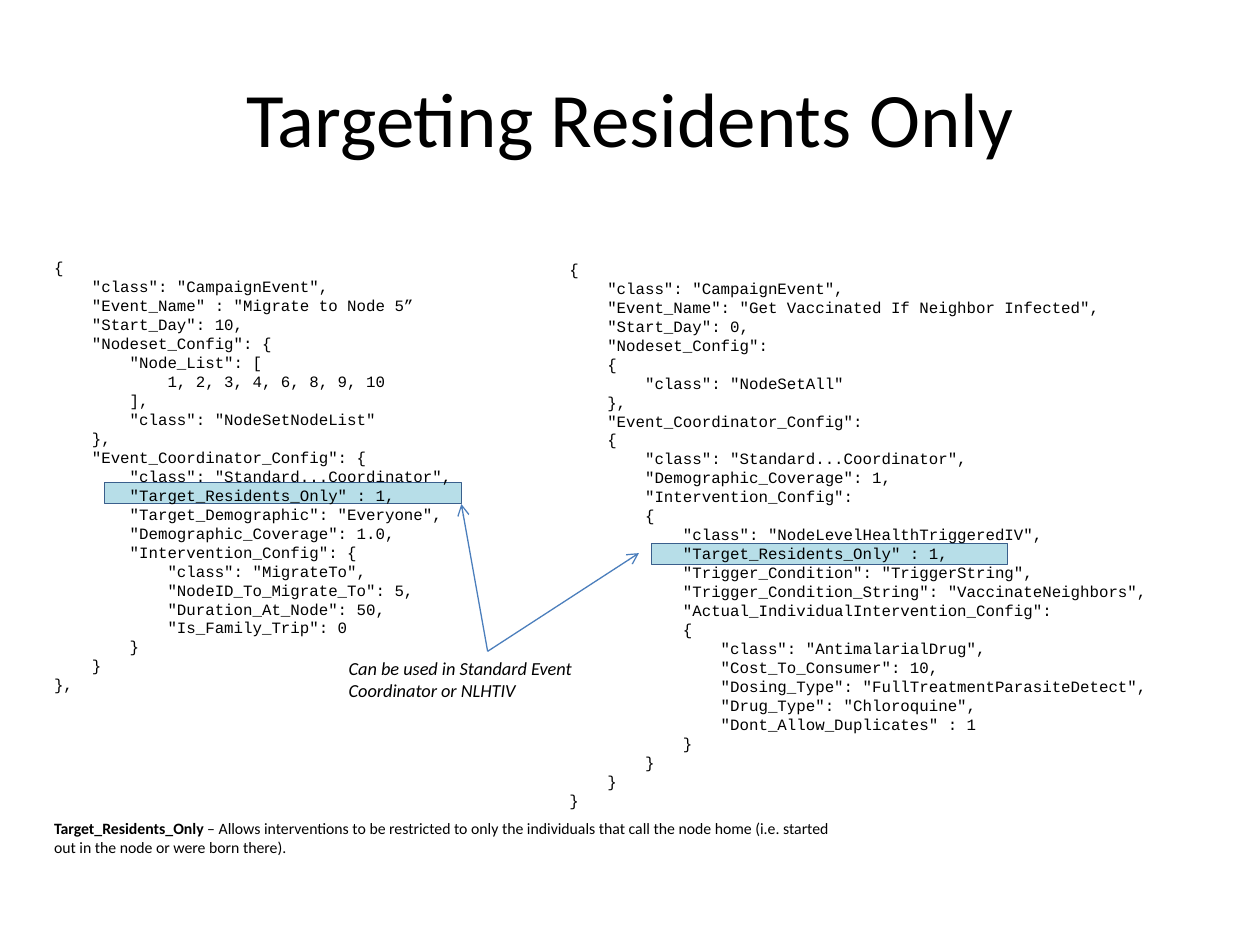
from dataclasses import dataclass

from lxml.etree import SubElement
from pptx import Presentation
from pptx.dml.color import RGBColor
from pptx.enum.shapes import MSO_CONNECTOR, MSO_SHAPE
from pptx.enum.text import MSO_ANCHOR, MSO_AUTO_SIZE, PP_ALIGN
from pptx.oxml.ns import qn
from pptx.shapes.autoshape import Shape
from pptx.slide import Slide
from pptx.util import Cm, Pt


@dataclass(frozen=True)
class Theme:
    ink: RGBColor = RGBColor(0x00, 0x00, 0x00)
    mark: RGBColor = RGBColor(0xB7, 0xDE, 0xE8)
    edge: RGBColor = RGBColor(0x3A, 0x5F, 0x8C)
    arrow: RGBColor = RGBColor(0x4B, 0x7E, 0xBC)
    sans: str = "Calibri"
    mono: str = "Courier New"
    title: float = 44
    note: float = 10.5
    small: float = 9


@dataclass(frozen=True)
class Box:
    """A place on the slide, in centimetres."""
    left: float
    top: float
    width: float
    height: float

    def lengths(self) -> tuple:
        return Cm(self.left), Cm(self.top), Cm(self.width), Cm(self.height)


@dataclass(frozen=True)
class Listing:
    box: Box
    mark: Box
    code: str


@dataclass(frozen=True)
class Part:
    text: str
    bold: bool = False
    italic: bool = False


THEME = Theme()

EVENT = """{
    "class": "CampaignEvent",
    "Event_Name": "Get Vaccinated If Neighbor Infected",
    "Start_Day": 0,
    "Nodeset_Config":
    {
        "class": "NodeSetAll"
    },
    "Event_Coordinator_Config":
    {
        "class": "Standard...Coordinator",
        "Demographic_Coverage": 1,
        "Intervention_Config":
"""

ACTION = """        {
            "class": "NodeLevelHealthTriggeredIV",
            "Target_Residents_Only" : 1,
            "Trigger_Condition": "TriggerString",
            "Trigger_Condition_String": "VaccinateNeighbors",
            "Actual_IndividualIntervention_Config":
            {
                "class": "AntimalarialDrug",
                "Cost_To_Consumer": 10,
                "Dosing_Type": "FullTreatmentParasiteDetect",
                "Drug_Type": "Chloroquine",
                "Dont_Allow_Duplicates" : 1
            }
        }
    }
}"""

TRIP = """{
    "class": "CampaignEvent",
    "Event_Name" : "Migrate to Node 5”
    "Start_Day": 10,
    "Nodeset_Config": {
        "Node_List": [
            1, 2, 3, 4, 6, 8, 9, 10
        ],
        "class": "NodeSetNodeList"
    },
    "Event_Coordinator_Config": {
        "class": "Standard...Coordinator",
        "Target_Residents_Only" : 1,
        "Target_Demographic": "Everyone",
        "Demographic_Coverage": 1.0,
        "Intervention_Config": {
            "class": "MigrateTo",
            "NodeID_To_Migrate_To": 5,
            "Duration_At_Node": 50,
            "Is_Family_Trip": 0
        }
    }
},"""

LISTINGS = (
    Listing(Box(11.23, 5.11, 12.57, 11.79), Box(13.13, 10.95, 7.19, 0.43),
            EVENT + ACTION),
    Listing(Box(0.84, 5.08, 8.56, 9.5), Box(2.11, 9.73, 7.19, 0.43), TRIP),
)
TIPS = ((9.3, 10.16), (12.88, 11.15))


def style(font, **values) -> None:
    for name, value in values.items():
        setattr(font, name, value)
    font.color.rgb = THEME.ink


def add_title(slide: Slide, text: str) -> None:
    title = slide.shapes.title
    places = ("left", "top", "width", "height")
    for name, value in zip(places, Box(1.27, 0.76, 22.86, 3.18).lengths()):
        setattr(title, name, value)
    frame = title.text_frame
    frame.text = text
    frame.vertical_anchor = MSO_ANCHOR.MIDDLE
    line = frame.paragraphs[0]
    line.alignment = PP_ALIGN.CENTER
    style(line.runs[0].font, name=THEME.sans, size=Pt(THEME.title))


def add_text(slide: Slide, box: Box, lines: list[list[Part]], face: str,
             size: float, wrap: bool = True) -> Shape:
    shape = slide.shapes.add_textbox(*box.lengths())
    frame = shape.text_frame
    frame.word_wrap = wrap
    frame.auto_size = MSO_AUTO_SIZE.SHAPE_TO_FIT_TEXT
    for index, parts in enumerate(lines):
        line = frame.add_paragraph() if index else frame.paragraphs[0]
        for part in parts:
            run = line.add_run()
            run.text = part.text
            style(run.font, name=face, size=Pt(size),
                  bold=part.bold, italic=part.italic)
    return shape


def add_mark(slide: Slide, box: Box) -> None:
    mark = slide.shapes.add_shape(MSO_SHAPE.RECTANGLE, *box.lengths())
    mark.shadow.inherit = False
    mark.fill.solid()
    mark.fill.fore_color.rgb = THEME.mark
    mark.line.color.rgb = THEME.edge
    mark.line.width = Pt(0.5)


def add_listing(slide: Slide, item: Listing) -> None:
    add_mark(slide, item.mark)
    lines = [[Part(line)] for line in item.code.splitlines()]
    add_text(slide, item.box, lines, THEME.mono, THEME.small, wrap=False)


def add_arrow(slide: Slide, note: Shape, tip: tuple[float, float]) -> None:
    """Draw an arrow from the middle of the note's top side to the tip."""
    arrow = slide.shapes.add_connector(
        MSO_CONNECTOR.STRAIGHT, note.left + note.width // 2, note.top,
        Cm(tip[0]), Cm(tip[1]))
    arrow.begin_connect(note, 0)
    arrow.line.color.rgb = THEME.arrow
    arrow.line.width = Pt(0.75)
    props = arrow._element.spPr
    SubElement(props.find(qn("a:ln")), qn("a:tailEnd"), type="arrow")
    SubElement(props, qn("a:effectLst"))


def main() -> None:
    deck = Presentation()
    deck.slide_width, deck.slide_height = Cm(25.4), Cm(19.05)
    slide = deck.slides.add_slide(deck.slide_layouts[5])
    add_title(slide, "Targeting Residents Only")
    for item in LISTINGS:
        add_listing(slide, item)
    meaning = [
        Part("Target_Residents_Only", bold=True),
        Part(" – Allows interventions to be restricted to only the individuals "
             "that call the node home (i.e. started out in the node or were "
             "born there)."),
    ]
    add_text(slide, Box(0.84, 16.38, 16.31, 1.02), [meaning],
             THEME.sans, THEME.small)
    usage = Part("Can be used in Standard Event Coordinator or NLHTIV", italic=True)
    note = add_text(slide, Box(6.78, 13.13, 6.1, 1.14), [[usage]],
                    THEME.sans, THEME.note)
    for tip in TIPS:
        add_arrow(slide, note, tip)
    deck.save("out.pptx")


if __name__ == "__main__":
    main()
